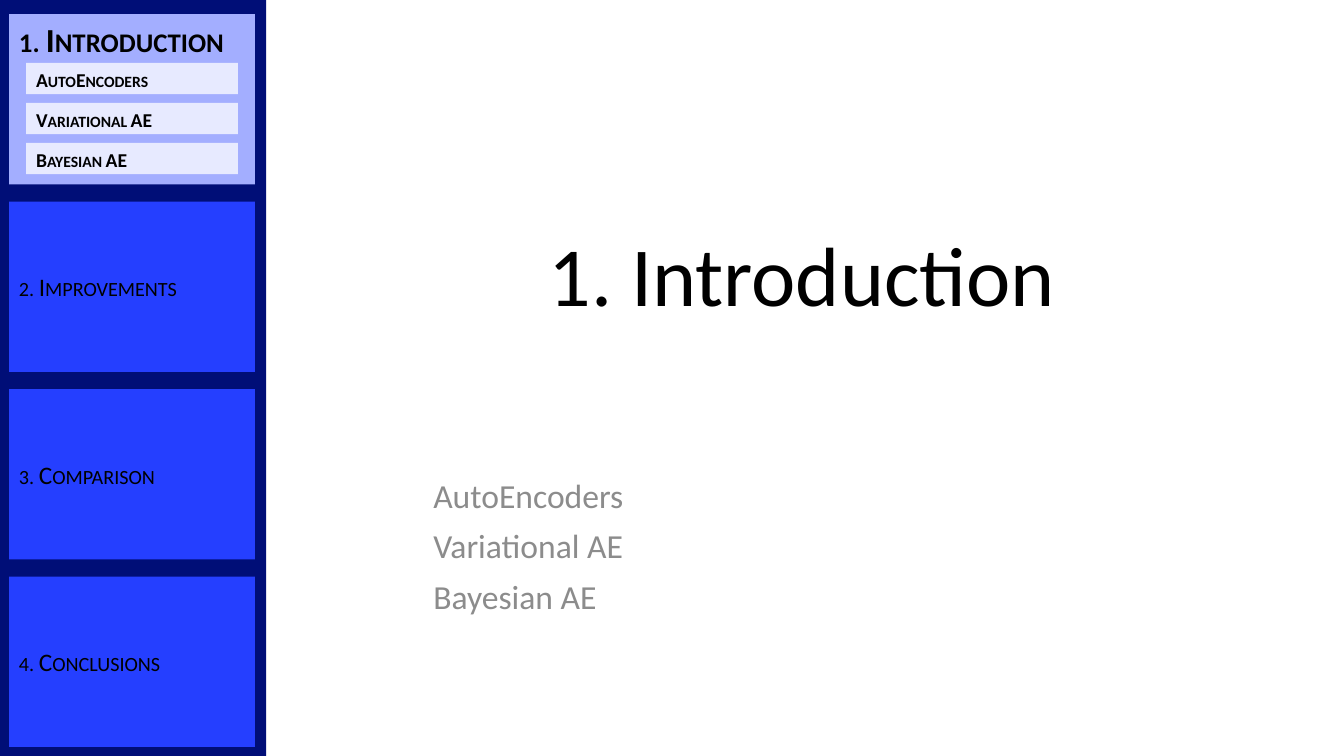
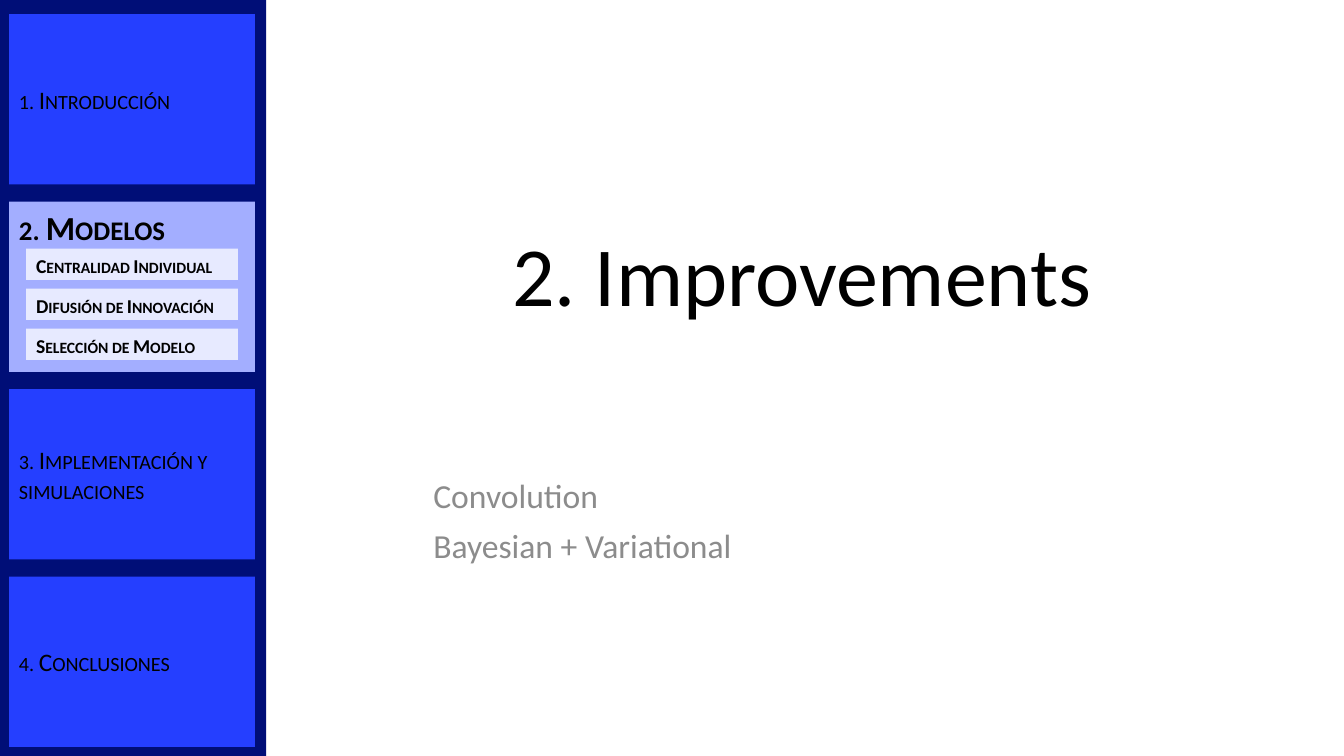
from pptx import Presentation
from pptx.dml.color import RGBColor
from pptx.enum.shapes import MSO_SHAPE
from pptx.enum.text import MSO_ANCHOR, PP_ALIGN
from pptx.util import Pt

RECTANGLE = MSO_SHAPE.RECTANGLE
TOP, MIDDLE = MSO_ANCHOR.TOP, MSO_ANCHOR.MIDDLE
LEFT, CENTER = PP_ALIGN.LEFT, PP_ALIGN.CENTER

FONT = "Calibri"
BLACK, GRAY = "000000", "8C8C8C"
NAVY, BLUE, ACTIVE_BLUE, PALE_BLUE = "000E77", "253FFF", "A3AEFF", "E7EAFF"

CARD_TOP, CARD_STEP = 10.08, 133.92
TOPIC_STEP = 28.6

sections = [
    {
        "title": "1. Introduction",
        "body": ["AutoEncoders", "Variational AE", "Bayesian AE"],
        "body_width": 223,
        "cards": ["1. Introduction", "2. Improvements", "3. Comparison", "4. Conclusions"],
        "active": 0,
        "topics": ["AutoEncoders", "Variational AE", "Bayesian AE"],
        "topic_offset": 34.8,
    },
    {
        "title": "2. Improvements",
        "body": ["Convolution", "Bayesian + Variational"],
        "body_width": 253,
        "cards": ["1. Introducción", "2. Modelos", "3. Implementación y simulaciones", "4. Conclusiones"],
        "active": 1,
        "topics": ["Centralidad Individual", "Difusión de Innovación", "Selección de Modelo"],
        "topic_offset": 33.6,
    },
]


def write_text(shape, lines, size, color=BLACK, anchor=TOP, align=LEFT, bold=False, small_caps=False, spacing=None, before=0):
    frame = shape.text_frame
    frame.word_wrap = True
    frame.vertical_anchor = anchor
    frame.text = "\n".join(lines)
    for paragraph in frame.paragraphs:
        paragraph.alignment = align
        paragraph.line_spacing = spacing
        paragraph.space_before = Pt(before)
        for run in paragraph.runs:
            run.font.name = FONT
            run.font.size = Pt(size)
            run.font.bold = bold
            run.font.color.rgb = RGBColor.from_string(color)
            if small_caps:
                run._r.get_or_add_rPr().set("cap", "small")


def add_block(slide, left, top, width, height, color):
    shape = slide.shapes.add_shape(RECTANGLE, Pt(left), Pt(top), Pt(width), Pt(height))
    shape.shadow.inherit = False
    shape.fill.solid()
    shape.fill.fore_color.rgb = RGBColor.from_string(color)
    shape.line.fill.background()
    return shape


presentation = Presentation()
presentation.slide_width = Pt(960)
presentation.slide_height = Pt(540)
blank_layout = presentation.slide_layouts[6]

for section in sections:
    slide = presentation.slides.add_slide(blank_layout)
    add_block(slide, -0.72, 0, 190.8, 540, NAVY)

    title = slide.shapes.add_textbox(Pt(252), Pt(40.32), Pt(641.5), Pt(319))
    write_text(title, [section["title"]], 60, anchor=MIDDLE, align=CENTER, spacing=0.9)
    body = slide.shapes.add_textbox(Pt(302.4), Pt(339), Pt(section["body_width"]), Pt(118))
    write_text(body, section["body"], 24, color=GRAY, spacing=0.9, before=10)

    for index, label in enumerate(section["cards"]):
        active = index == section["active"]
        card = add_block(slide, 6.48, CARD_TOP + index * CARD_STEP, 175.68, 121.68,
                         ACTIVE_BLUE if active else BLUE)
        write_text(card, [label], 24 if active else 18, anchor=TOP if active else MIDDLE,
                   bold=active, small_caps=True)

    first_topic = CARD_TOP + section["active"] * CARD_STEP + section["topic_offset"]
    for index, label in enumerate(section["topics"]):
        topic = add_block(slide, 18.72, first_topic + index * TOPIC_STEP, 151.2, 22.32, PALE_BLUE)
        write_text(topic, [label], 14, bold=True, small_caps=True)

presentation.save("out.pptx")
